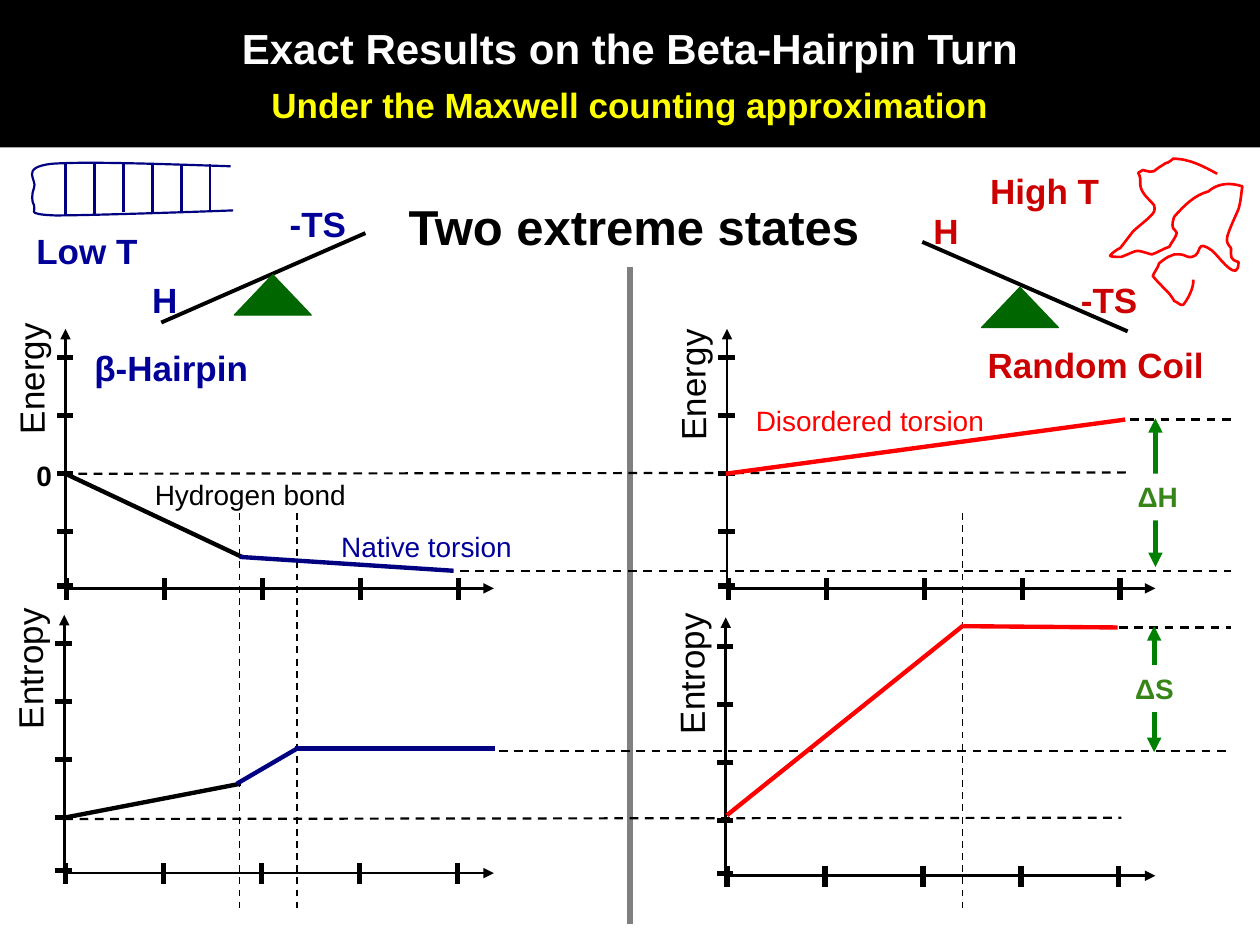
from lxml.etree import SubElement
from pptx import Presentation
from pptx.dml.color import RGBColor
from pptx.enum.dml import MSO_LINE
from pptx.enum.shapes import MSO_CONNECTOR, MSO_SHAPE
from pptx.enum.text import MSO_ANCHOR, MSO_AUTO_SIZE, PP_ALIGN
from pptx.oxml.ns import qn
from pptx.util import Inches, Pt

COLORS = {
    "black": "000000", "white": "FFFFFF", "yellow": "FFFF00", "gray": "808080",
    "navy": "000080", "blue": "000099", "red": "FF0000", "crimson": "CC0000",
    "triangle": "006600", "arrow": "008000", "delta": "378518",
}

# Bezier outlines: start point, then two handles and an end point per curve
HAIRPIN = [
    (1.83, 1.32), (1.25, 1.3), (0.67, 1.28), (0.41, 1.3), (0.15, 1.33), (0.3, 1.43),
    (0.27, 1.49), (0.25, 1.54), (0.25, 1.6), (0.27, 1.63), (0.3, 1.67), (0.18, 1.7),
    (0.44, 1.71), (0.7, 1.71), (1.61, 1.68), (1.85, 1.67),
]
COIL = [
    (9.66, 1.38), (9.55, 1.32), (9.44, 1.26), (9.31, 1.26), (9.3, 1.27), (9.29, 1.28),
    (9.27, 1.29), (9.26, 1.29), (9.24, 1.3), (9.23, 1.31), (9.14, 1.36), (9.18, 1.38),
    (9.07, 1.35), (9.01, 1.39), (9.04, 1.35), (9.05, 1.42), (9.05, 1.44), (9.05, 1.46),
    (9.05, 1.47), (9.06, 1.54), (9.12, 1.58), (9.16, 1.63), (9.16, 1.65), (9.17, 1.67),
    (9.16, 1.68), (9.13, 1.73), (9.04, 1.79), (8.99, 1.84), (8.96, 1.88), (8.93, 1.92),
    (8.89, 1.97), (8.88, 1.97), (8.81, 2.02), (8.81, 2.03), (8.81, 2.04), (8.87, 2.04),
    (8.9, 2.04), (9.05, 1.98), (9, 1.98), (9.14, 2.02), (9.2, 2), (9.22, 1.98),
    (9.28, 1.96), (9.3, 1.92), (9.33, 1.89), (9.34, 1.85), (9.34, 1.83), (9.31, 1.82),
    (9.31, 1.81), (9.3, 1.78), (9.31, 1.75), (9.32, 1.72), (9.4, 1.63), (9.48, 1.55),
    (9.59, 1.52), (9.67, 1.45), (9.77, 1.45), (9.86, 1.48), (9.85, 1.54), (9.85, 1.59),
    (9.83, 1.66), (9.8, 1.73), (9.76, 1.81), (9.74, 1.88), (9.73, 1.93), (9.75, 1.94),
    (9.77, 1.97), (9.77, 2.04), (9.76, 2.06), (9.83, 2.08), (9.83, 2.25), (9.69, 2.06),
    (9.65, 2.02), (9.64, 2.01), (9.64, 2), (9.62, 1.99), (9.48, 1.89), (9.55, 2.02),
    (9.46, 2.04), (9.43, 2.05), (9.4, 2.02), (9.37, 2.02), (9.35, 2.02), (9.34, 2.02),
    (9.32, 2.02), (9.3, 2.03), (9.29, 2.03), (9.27, 2.04), (9.25, 2.05), (9.2, 2.09),
    (9.2, 2.09), (9.19, 2.13), (9.16, 2.16), (9.15, 2.19), (9.15, 2.2), (9.26, 2.31),
    (9.27, 2.32), (9.29, 2.34), (9.32, 2.39), (9.32, 2.39), (9.35, 2.4), (9.37, 2.43),
    (9.39, 2.42), (9.42, 2.39), (9.48, 2.28), (9.47, 2.22),
]


def rgb(color):
    return RGBColor.from_string(COLORS[color])


def add_line(shapes, x1, y1, x2, y2, color="black", width=1.5, dash=False, arrows=()):
    c = shapes.add_connector(MSO_CONNECTOR.STRAIGHT, *map(Inches, (x1, y1, x2, y2)))
    c.line.color.rgb = rgb(color)
    c.line.width = Pt(width)
    if dash:
        c.line.dash_style = MSO_LINE.DASH
    for end in arrows:
        SubElement(c.line._get_or_add_ln(), qn(f"a:{end}"), type="triangle")
    SubElement(c._element.spPr, qn("a:effectLst"))


def add_text(shapes, box, text, color, size=20, bold=True, wrap=True, align=PP_ALIGN.LEFT, fill=None):
    sp = shapes.add_textbox(*map(Inches, box))
    tf = sp.text_frame
    tf.word_wrap = wrap
    p = tf.paragraphs[0]
    p.text, p.alignment = text, align
    p.font.name, p.font.size, p.font.bold = "Arial", Pt(size), bold
    p.font.color.rgb = rgb(color)
    if fill:
        sp.fill.solid()
        sp.fill.fore_color.rgb = rgb(fill)
    return sp


def add_curve(shapes, points, color, width):
    points = [(Inches(x), Inches(y)) for x, y in points]
    builder = shapes.build_freeform(*points[0])
    builder.add_line_segments(points[3::3], close=False)
    sp = builder.convert_to_shape()
    # Turn each straight segment into a Bezier curve by adding its handles
    for i, segment in enumerate(list(sp._element.iter(qn("a:lnTo")))):
        segment.tag = qn("a:cubicBezTo")
        end = segment[0]
        for x, y in points[3 * i + 1:3 * i + 3]:
            handle = SubElement(segment, qn("a:pt"), x=str(x - sp.left), y=str(y - sp.top))
            end.addprevious(handle)
    sp.shadow.inherit = False
    sp.fill.background()
    sp.line.color.rgb = rgb(color)
    sp.line.width = Pt(width)


def add_header(s, left, top, width, height):
    sp = s.shapes.title
    sp.left, sp.top, sp.width, sp.height = map(Inches, (left, top, width, height))
    sp.fill.solid()
    sp.fill.fore_color.rgb = rgb("black")
    tf = sp.text_frame
    tf.auto_size = MSO_AUTO_SIZE.NONE
    tf.vertical_anchor = MSO_ANCHOR.MIDDLE
    tf.text = "Exact Results on the Beta-Hairpin Turn\nUnder the Maxwell counting approximation"
    for p, size, color in zip(tf.paragraphs, (24, 20), ("white", "yellow")):
        p.alignment = PP_ALIGN.CENTER
        p.space_before, p.space_after = Pt(5), Pt(1)
        p.font.name, p.font.size, p.font.bold = "Arial", Pt(size), True
        p.font.color.rgb = rgb(color)


def add_axes(s, left, top, width, height, label, label_width, label_drop):
    g = s.shapes.add_group_shape().shapes
    bottom = top + height
    add_line(g, left, bottom, left, top, arrows=["tailEnd"])
    add_line(g, left, bottom, left + width, bottom, arrows=["tailEnd"])
    for i in range(5):
        x = left + 0.01 + 3.11 * i / 4
        y = min(top + 0.23 + 0.46 * i, bottom - 0.02)
        add_line(g, x, bottom - 0.08, x, bottom + 0.09, width=3)
        add_line(g, left + 0.06, y, left - 0.07, y, width=3)
    box = (left - 0.28 - label_width / 2, top + label_drop, label_width, 0.43)
    add_text(s.shapes, box, label, "black", bold=False, wrap=False).rotation = 269.5


def add_seesaw(s, left, top, width, height, color, rises, pivot, h_at, ts_at):
    g = s.shapes.add_group_shape().shapes
    y1, y2 = (top + height, top) if rises else (top, top + height)
    add_line(g, left, y1, left + width, y2, width=2.25)
    sp = g.add_shape(MSO_SHAPE.ISOSCELES_TRIANGLE, Inches(left + pivot[0]),
                     Inches(top + pivot[1]), Inches(0.61), Inches(0.32))
    sp.shadow.inherit = False
    sp.fill.solid()
    sp.fill.fore_color.rgb = sp.line.color.rgb = rgb("triangle")
    sp.line.width = Pt(0.75)
    for text, (dx, dy), w in (("H", h_at, 0.43), ("-TS", ts_at, 0.81)):
        add_text(g, (left + dx, top + dy, w, 0.43), text, color)


def add_hairpin(s):
    g = s.shapes.add_group_shape().shapes
    add_curve(g, HAIRPIN, "navy", 1.25)
    for i in range(6):
        x = 0.52 + 0.23 * i
        add_line(g, x, 1.3, x, 1.71 if i < 2 else 1.68, "navy", 1.25)


def add_difference(s, x, top, bottom, label, label_left, label_top):
    add_line(s.shapes, x, top, x, bottom, "arrow", 2.75, arrows=["headEnd", "tailEnd"])
    add_text(s.shapes, (label_left, label_top, 0.55, 0.37), label, "delta", 16, fill="white")


def main():
    prs = Presentation()
    prs.slide_width, prs.slide_height = Inches(10), Inches(7.5)
    s = prs.slides.add_slide(prs.slide_layouts[5])
    add_header(s, 0, 0, 10, 1.17)
    add_line(s.shapes, 5, 2.12, 5, 7.33, "gray", 4)

    # Two states: low and high temperature
    add_seesaw(s, 1.28, 1.85, 1.62, 0.71, "blue", True, (0.58, 0.33), (-0.17, 0.31), (0.92, -0.29))
    add_seesaw(s, 7.32, 1.92, 1.63, 0.71, "crimson", False, (0.47, 0.36), (-0.01, -0.31), (1.16, 0.24))
    add_hairpin(s)
    add_curve(s.shapes, COIL, "red", 1.5)
    for box, text, color in (
        ((0.65, 2.7, 1.49, 0.43), "β-Hairpin", "blue"),
        ((7.74, 2.68, 1.94, 0.43), "Random Coil", "crimson"),
        ((0.19, 1.77, 1.14, 0.43), "Low T", "blue"),
        ((7.76, 1.3, 1.15, 0.43), "High T", "crimson"),
    ):
        add_text(s.shapes, box, text, color)
    add_text(s.shapes, (2.67, 1.51, 4.72, 0.57), "Two extreme states", "black", 28,
             align=PP_ALIGN.CENTER)

    # Four plots
    for left, entropy_top, energy_drop, entropy_drop in ((0.52, 4.88, 0.18, 0.21),
                                                         (5.77, 4.9, 0.23, 0.23)):
        add_axes(s, left, 2.61, 3.4, 2.06, "Energy", 1.08, energy_drop)
        add_axes(s, left - 0.01, entropy_top, 3.41, 2.05, "Entropy", 1.16, entropy_drop)

    # Dashed guides
    for guide in ((0.5, 3.76, 8.95, 3.75), (0.51, 6.5, 8.9, 6.49), (3.65, 4.53, 9.77, 4.53),
                  (8.97, 3.33, 9.77, 3.33), (8.88, 4.98, 9.77, 4.98), (3.96, 5.96, 9.76, 5.96)):
        add_line(s.shapes, *guide, width=1.25, dash=True)
    for x in (1.9, 2.36, 7.64):
        add_line(s.shapes, x, 4.07, x, 7.21, width=1, dash=True)

    # Plotted segments
    for *segment, color in (
        (0.52, 3.76, 1.92, 4.42, "black"), (1.9, 4.42, 3.6, 4.53, "navy"),
        (0.51, 6.49, 1.91, 6.22, "black"), (1.88, 6.22, 2.36, 5.94, "navy"),
        (2.34, 5.94, 3.93, 5.94, "navy"), (5.76, 3.76, 8.93, 3.33, "red"),
        (5.77, 6.47, 7.65, 4.96, "red"), (7.65, 4.97, 8.87, 4.98, "red"),
    ):
        add_line(s.shapes, *segment, color, 2.5)

    # Plot labels
    for left, top, width, text, color in (
        (1.13, 3.74, 1.72, "Hydrogen bond", "black"), (2.61, 4.15, 1.56, "Native torsion", "blue"),
        (5.9, 3.15, 2.02, "Disordered torsion", "red"), (0.19, 3.59, 0.32, "0", "black"),
    ):
        add_text(s.shapes, (left, top, width, 0.37), text, color, 16, bold=text == "0", wrap=False)
    add_difference(s, 9.17, 3.32, 4.5, "ΔH", 8.93, 3.76)
    add_difference(s, 9.16, 4.97, 5.97, "ΔS", 8.91, 5.28)

    prs.save("out.pptx")


if __name__ == "__main__":
    main()
